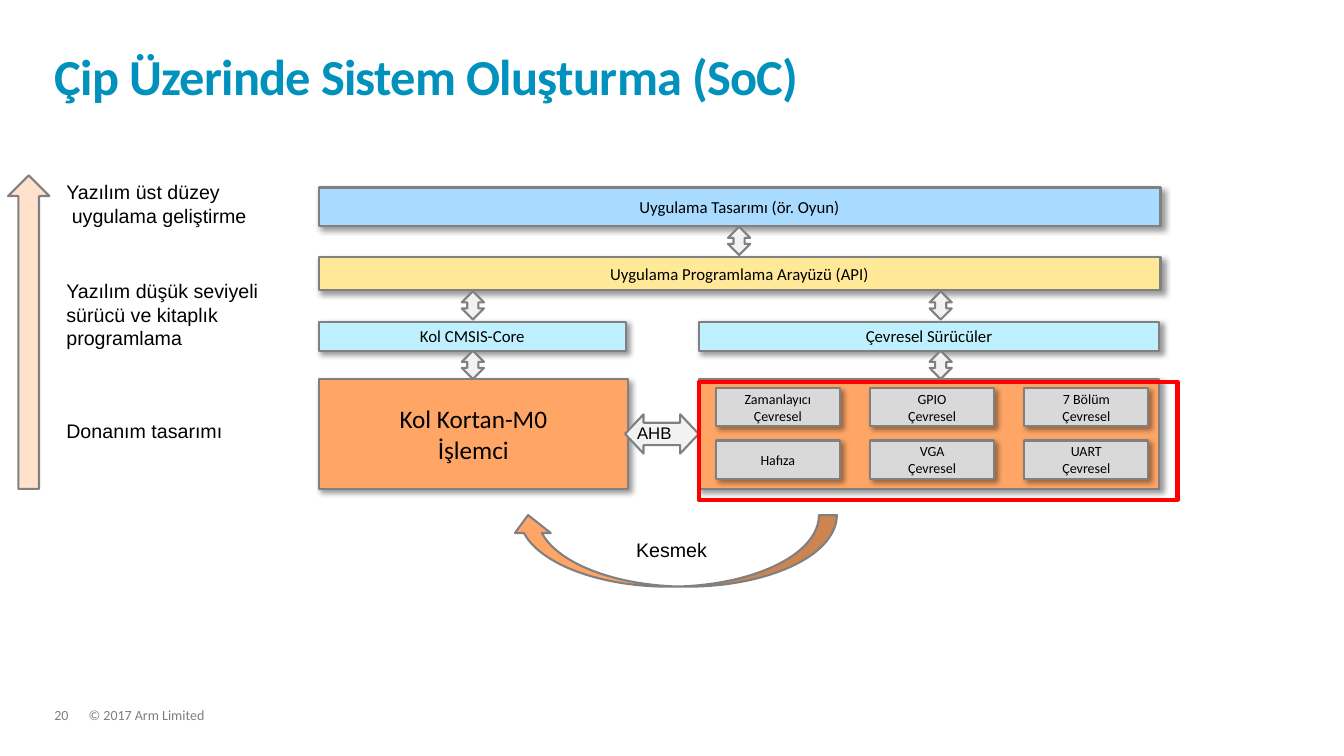
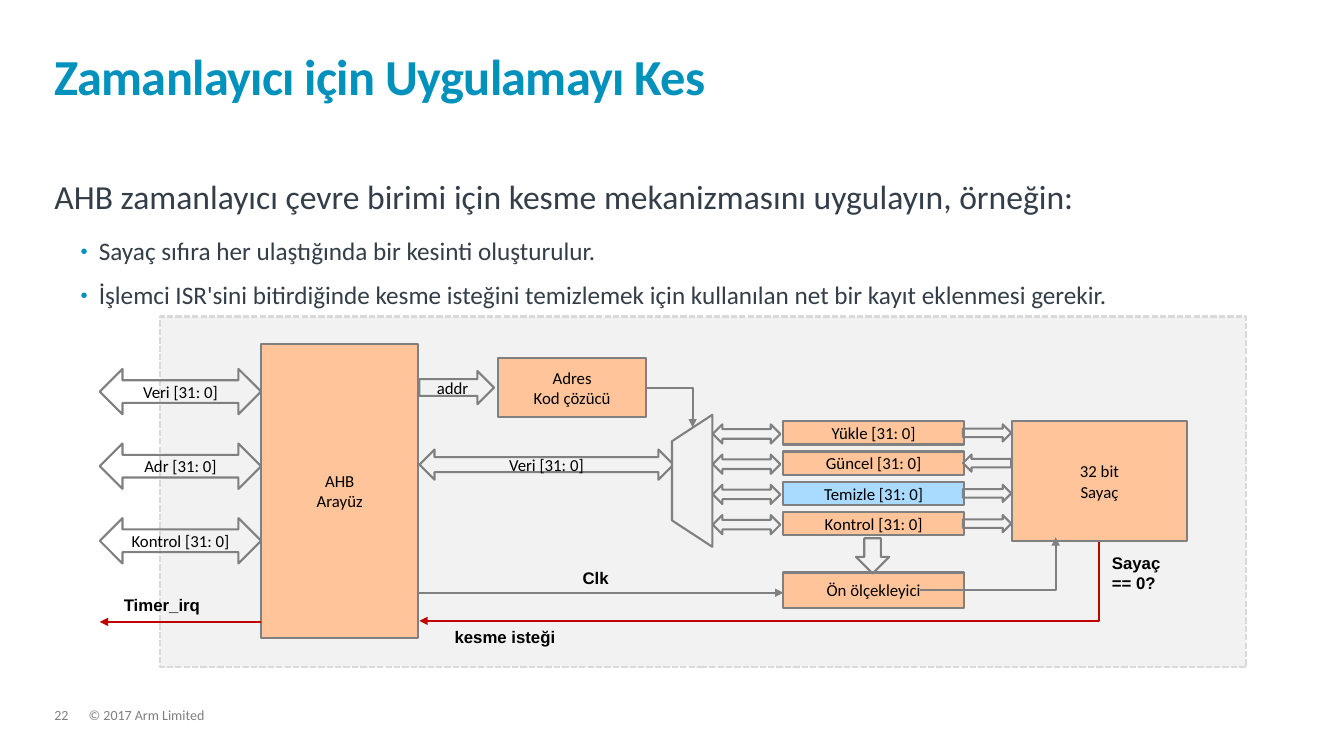
from dataclasses import dataclass
from lxml.etree import SubElement
from pptx import Presentation
from pptx.dml.color import RGBColor
from pptx.enum.dml import MSO_LINE
from pptx.enum.shapes import MSO_CONNECTOR as Link, MSO_SHAPE as Kind
from pptx.enum.text import MSO_ANCHOR as Anchor, PP_ALIGN as Align
from pptx.oxml.ns import qn
from pptx.util import Inches, Pt


@dataclass(frozen=True)
class Theme:
    sans: str = "Calibri"
    plain: str = "Arial"
    title: str = "0091BD"
    body: str = "333E48"
    foot: str = "7F7F7F"
    ink: str = "000000"
    edge: str = "808080"
    pale: str = "F2F2F2"
    dash: str = "D9D9D9"
    chip: str = "D9D9D9"
    orange: str = "FFA666"
    peach: str = "FFC499"
    cream: str = "FFE1CC"
    yellow: str = "FFE999"
    blue: str = "A8DBFF"
    aqua: str = "BFF0FF"
    red: str = "FF0000"
    irq: str = "C00000"
    head: int = 36
    lead: int = 24
    big: int = 18
    note: int = 14
    small: int = 12
    tiny: int = 10
    stroke: float = 1.5


T = Theme()

STACK = {
    "title": "Çip Üzerinde Sistem Oluşturma (SoC)",
    "page": "20",
    "layers": [
        (["Uygulama Tasarımı (ör. Oyun)"], (3.16, 1.86, 8.35, 0.38), T.blue, T.small),
        (["Uygulama Programlama Arayüzü (API)"], (3.16, 2.55, 8.35, 0.33), T.yellow, T.small),
        (["Kol CMSIS-Core"], (3.16, 3.19, 3.05, 0.29), T.aqua, T.small),
        (["Çevresel Sürücüler"], (6.93, 3.19, 4.57, 0.29), T.aqua, T.small),
        (["Kol Kortan-M0", "İşlemci"], (3.16, 3.76, 3.07, 1.09), T.orange, T.big),
        ([], (6.93, 3.76, 4.57, 1.09), T.orange, T.small),
    ],
    "chips": [
        [["Zamanlayıcı", "Çevresel"], ["GPIO", "Çevresel"], ["7 Bölüm", "Çevresel"]],
        [["Hafıza"], ["VGA", "Çevresel"], ["UART", "Çevresel"]],
    ],
    "links": [(7.22, 2.25), (4.58, 2.89), (9.22, 2.89), (4.58, 3.48), (9.22, 3.48)],
    "notes": [
        (["Yazılım üst düzey", " uygulama geliştirme"], (0.56, 1.74, 3.02, 0.57), T.note),
        (["Yazılım düşük seviyeli sürücü ve kitaplık programlama"],
         (0.56, 2.72, 2.59, 0.57), T.note),
        (["Donanım tasarımı"], (0.56, 4.11, 2.44, 0.34), T.note),
        (["AHB"], (6.22, 4.14, 0.83, 0.3), T.small),
        (["Kesmek"], (6.21, 5.29, 1.51, 0.34), T.note),
    ],
}

TIMER = {
    "title": "Zamanlayıcı için Uygulamayı Kes",
    "page": "22",
    "lead": "AHB zamanlayıcı çevre birimi için kesme mekanizmasını uygulayın, örneğin:",
    "points": [
        "Sayaç sıfıra her ulaştığında bir kesinti oluşturulur.",
        "İşlemci ISR'sini bitirdiğinde kesme isteğini temizlemek için "
        "kullanılan net bir kayıt eklenmesi gerekir.",
    ],
    "blocks": [
        (["AHB", "Arayüz"], (2.59, 3.41, 1.56, 2.92)),
        (["Adres", "Kod çözücü"], (4.94, 3.55, 1.47, 0.59)),
        (["32 bit", "Sayaç"], (10.04, 4.18, 1.73, 1.19)),
        (["Ön ölçekleyici"], (7.77, 5.68, 1.79, 0.35)),
    ],
    "ports": ["Veri [31: 0]", "Adr [31: 0]", "Kontrol [31: 0]"],
    "regs": [
        ("Yükle [31: 0]", T.peach, Kind.RIGHT_ARROW),
        ("Güncel [31: 0]", T.peach, Kind.LEFT_ARROW),
        ("Temizle [31: 0]", T.blue, Kind.RIGHT_ARROW),
        ("Kontrol [31: 0]", T.peach, Kind.RIGHT_ARROW),
    ],
    "arrows": [
        (["addr"], Kind.RIGHT_ARROW, (4.16, 3.68, 0.74, 0.33)),
        (["Veri [31: 0]"], Kind.LEFT_RIGHT_ARROW, (4.16, 4.46, 2.52, 0.3)),
        ([], Kind.DOWN_ARROW, (8.49, 5.34, 0.33, 0.35)),
    ],
    "wires": [
        ((4.15, 5.88), (7.77, 5.88), T.edge, "tailEnd"),
        ((6.41, 3.85), (6.87, 4.24), T.edge, "tailEnd"),
        ((9.12, 5.85), (10.47, 5.33), T.edge, "tailEnd"),
        ((4.16, 6.16), (10.9, 5.38), T.irq, "headEnd"),
        ((2.59, 6.17), (0.99, 6.17), T.irq, "tailEnd"),
    ],
    "notes": [
        (["Clk"], (5.68, 5.58, 1.04, 0.3)),
        (["Sayaç", "== 0?"], (10.93, 5.43, 1.27, 0.5)),
        (["Timer_irq"], (1.13, 5.85, 1.46, 0.3)),
        (["kesme isteği"], (4.41, 6.17, 2.99, 0.3)),
    ],
}

FOOT = "© 2017 Arm Limited"


def paint(hue):
    return RGBColor.from_string(hue)


def place(box):
    return [Inches(n) for n in box]


def write(frame, lines, size, font=T.sans, hue=T.ink, bold=False, align=None):
    paras = []
    for i, line in enumerate(lines):
        para = frame.add_paragraph() if i else frame.paragraphs[0]
        para.alignment = align
        run = para.add_run()
        run.text = line
        run.font.size, run.font.name, run.font.bold = Pt(size), font, bold
        run.font.color.rgb = paint(hue)
        paras.append(para)
    return paras


def label(slide, lines, box, size, font=T.plain, hue=T.ink, bold=False,
          flush=False, space=None, after=None):
    frame = slide.shapes.add_textbox(*place(box)).text_frame
    frame.word_wrap = True
    if flush:
        frame.margin_left = frame.margin_right = 0
        frame.margin_top = frame.margin_bottom = 0
    paras = write(frame, lines, size, font, hue, bold)
    for para in paras:
        para.line_spacing = space
        para.space_after = None if after is None else Pt(after)
    return frame, paras


def shade(shape):
    fx = SubElement(shape._element.spPr, qn("a:effectLst"))
    cast = SubElement(fx, qn("a:outerShdw"), blurRad=str(Pt(4)), dist=str(Pt(3)),
                      dir="2700000", algn="tl", rotWithShape="0")
    tint = SubElement(cast, qn("a:srgbClr"), val=T.ink)
    SubElement(tint, qn("a:alpha"), val="40000")


def draw(slide, kind, box, fill=None, lines=(), size=T.small, edge=T.edge,
         width=T.stroke, cast=False, turn=0):
    shape = slide.shapes.add_shape(kind, *place(box))
    shape.rotation = turn
    if fill:
        shape.fill.solid()
        shape.fill.fore_color.rgb = paint(fill)
    else:
        shape.fill.background()
    shape.line.color.rgb = paint(edge)
    shape.line.width = Pt(width)
    if cast:
        shade(shape)
    else:
        shape.shadow.inherit = False
    frame = shape.text_frame
    frame.word_wrap = False
    frame.vertical_anchor = Anchor.MIDDLE
    write(frame, lines, size, align=Align.CENTER)
    return shape


def wire(slide, start, end, hue, tip):
    bent = start[1] != end[1]
    link = slide.shapes.add_connector(Link.ELBOW if bent else Link.STRAIGHT,
                                      *place(start + end))
    link.line.color.rgb = paint(hue)
    link.line.width = Pt(T.stroke)
    props = link._element.spPr
    if bent:
        props.find(qn("a:prstGeom")).set("prst", "bentConnector2")
    SubElement(props.find(qn("a:ln")), qn("a:" + tip), type="triangle", w="med", len="med")
    SubElement(props, qn("a:effectLst"))


def start(deck, data):
    slide = deck.slides.add_slide(deck.slide_layouts[6])
    for text, left, wide in ((FOOT, 0.88, 9.13), (data["page"], 0.54, 0.34)):
        label(slide, [text], (left, 7.03, wide, 0.15), T.tiny, T.sans, T.foot,
              flush=True, space=0.9, after=6)
    frame, paras = label(slide, [data["title"]], (0.54, 0.32, 12.23, 0.73), T.head,
                         T.sans, T.title, bold=True, flush=True, space=0.85)
    frame.vertical_anchor = Anchor.BOTTOM
    paras[0].runs[0].font._element.set("spc", "-50")
    return slide


def bullet(para):
    props = para._p.get_or_add_pPr()
    props.set("marL", str(Inches(0.44)))
    props.set("indent", str(Inches(-0.18)))
    tint = SubElement(props, qn("a:buClr"))
    SubElement(tint, qn("a:srgbClr"), val=T.title)
    SubElement(props, qn("a:buSzPct"), val="80000")
    SubElement(props, qn("a:buFont"), typeface=T.plain)
    SubElement(props, qn("a:buChar"), char="•")


def stack(deck, data):
    slide = start(deck, data)
    for lines, box, fill, size in data["layers"]:
        draw(slide, Kind.RECTANGLE, box, fill, lines, size, cast=True)
    for r, row in enumerate(data["chips"]):
        for c, lines in enumerate(row):
            box = (7.1 + 1.53 * c, 3.85 + 0.52 * r, 1.23, 0.38)
            draw(slide, Kind.RECTANGLE, box, T.chip, lines, T.tiny, cast=True)
    for spot in data["links"]:
        draw(slide, Kind.UP_DOWN_ARROW, spot + (0.22, 0.28), T.pale)
    draw(slide, Kind.UP_ARROW, (0.08, 1.74, 0.41, 3.11), T.cream)
    bus = draw(slide, Kind.LEFT_RIGHT_ARROW, (6.2, 4.11, 0.73, 0.39), T.pale)
    bus.adjustments[0], bus.adjustments[1] = 0.57, 0.47
    draw(slide, Kind.RECTANGLE, (6.93, 3.79, 4.75, 1.17), edge=T.red, width=3)
    draw(slide, Kind.CURVED_DOWN_ARROW, (5.06, 5.11, 3.24, 0.71), T.orange, turn=180)
    for lines, box, size in data["notes"]:
        label(slide, lines, box, size)


def timer(deck, data):
    slide = start(deck, data)
    frame, paras = label(slide, [data["lead"]] + data["points"], (0.54, 1.79, 12.23, 4.47),
                         T.big, T.sans, T.body, flush=True, space=0.9, after=12)
    paras[0].space_after = Pt(16)
    paras[0].runs[0].font.size = Pt(T.lead)
    for para in paras[1:]:
        bullet(para)
    panel = draw(slide, Kind.RECTANGLE, (1.59, 3.14, 10.77, 3.48), T.pale, edge=T.dash)
    panel.line.dash_style = MSO_LINE.SQUARE_DOT
    panel.line._ln.find(qn("a:prstDash")).set("val", "sysDash")
    for lines, box in data["blocks"]:
        draw(slide, Kind.FLOWCHART_PROCESS, box, T.peach, lines)
    for i, name in enumerate(data["ports"]):
        draw(slide, Kind.LEFT_RIGHT_ARROW, (0.99, 3.66 + 0.74 * i, 1.6, 0.45), lines=[name])
    for lines, kind, box in data["arrows"]:
        draw(slide, kind, box, lines=lines)
    draw(slide, Kind.FLOWCHART_MANUAL_OPERATION, (6.21, 4.57, 1.31, 0.4), T.pale, turn=90)
    for i, (name, fill, kind) in enumerate(data["regs"]):
        top = 4.18 + 0.3 * i
        draw(slide, Kind.LEFT_RIGHT_ARROW, (7.07, top + 0.03, 0.67, 0.19))
        draw(slide, Kind.FLOWCHART_PROCESS, (7.77, top, 1.79, 0.23), fill, [name])
        draw(slide, kind, (9.55, top + 0.03, 0.48, 0.17))
    for ends in data["wires"]:
        wire(slide, *ends)
    for lines, box in data["notes"]:
        label(slide, lines, box, T.small, bold=True)


def main():
    deck = Presentation()
    deck.slide_width, deck.slide_height = Inches(13.33), Inches(7.5)
    stack(deck, STACK)
    timer(deck, TIMER)
    deck.save("out.pptx")


if __name__ == "__main__":
    main()
